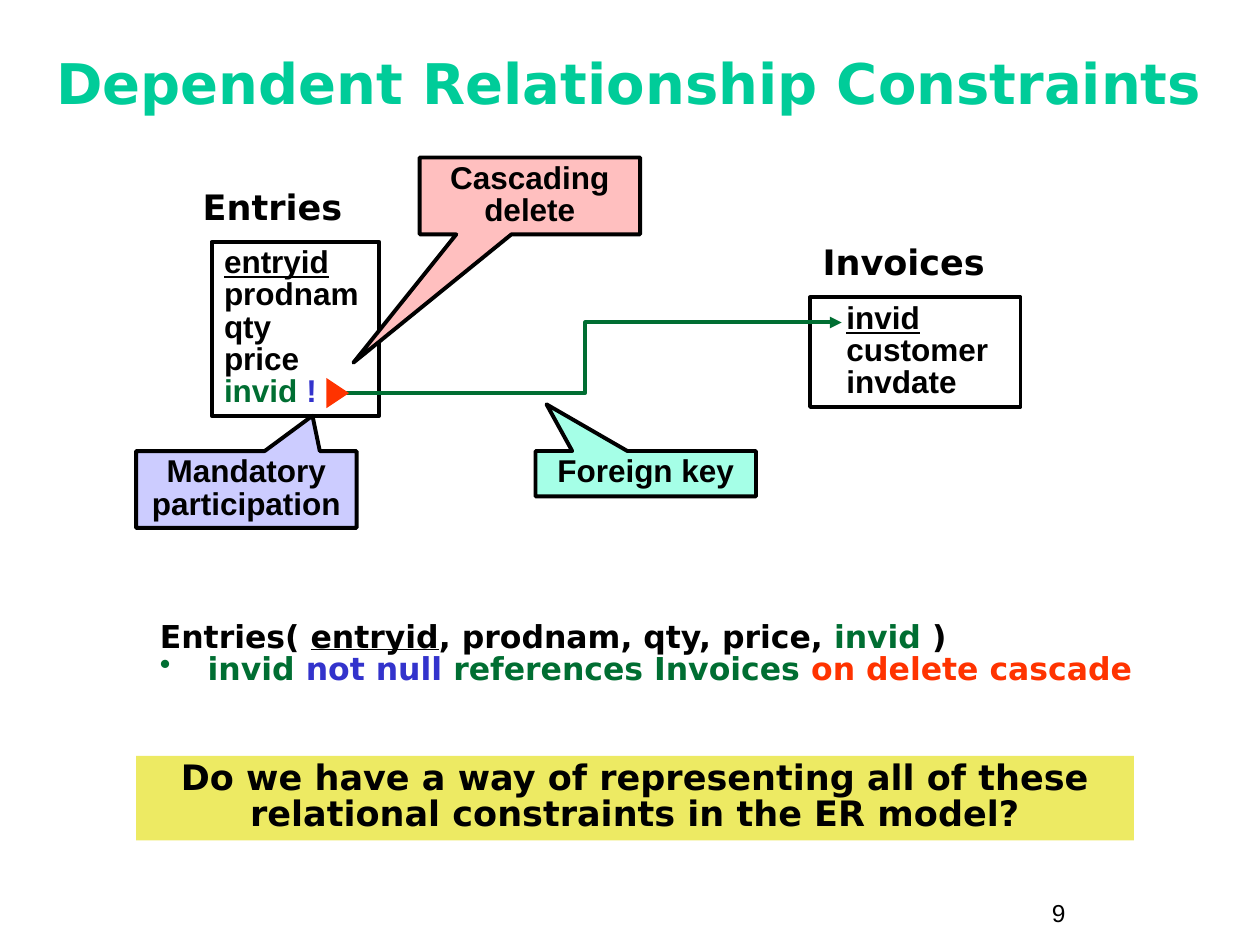
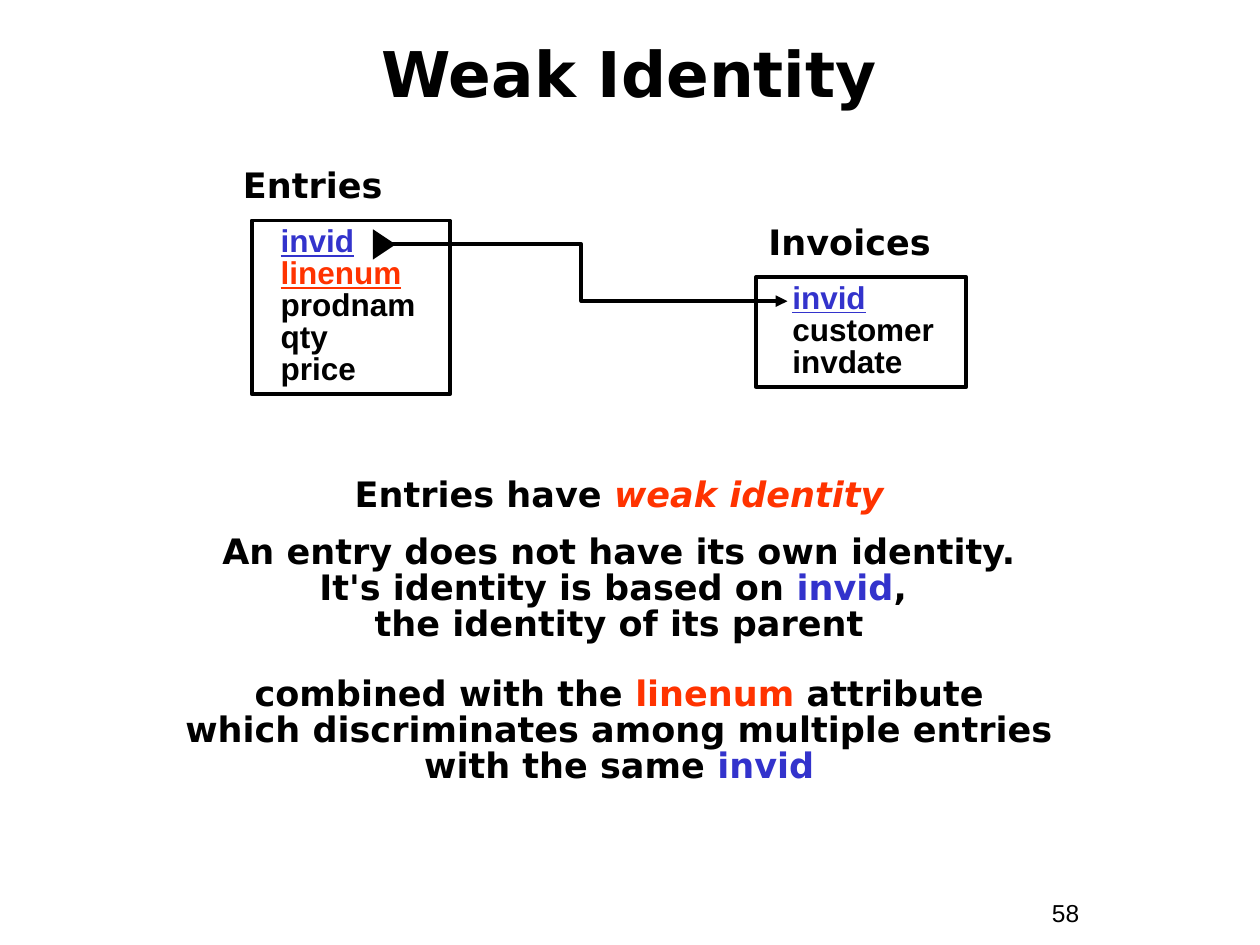
"""Build two slides on dependent relationships and weak identity."""
from dataclasses import dataclass

from lxml.etree import SubElement
from pptx import Presentation
from pptx.dml.color import RGBColor
from pptx.enum.shapes import MSO_CONNECTOR, MSO_SHAPE
from pptx.enum.text import MSO_ANCHOR, PP_ALIGN
from pptx.oxml.ns import qn
from pptx.util import Emu, Pt


@dataclass(frozen=True)
class Theme:
    """Colours, fonts and type sizes of the deck."""
    black: str = "000000"
    mint: str = "00CC99"
    green: str = "006E32"
    blue: str = "3333CC"
    red: str = "FF3300"
    lilac: str = "CCCCFF"
    pink: str = "FFBFBF"
    aqua: str = "A5FFE7"
    yellow: str = "EDEA63"
    sans: str = "DejaVu Sans"
    plain: str = "Arial"
    note: int = 14
    body: int = 18
    head: int = 20
    stroke: float = 2.25
    tight: float = 0.85


T = Theme()
PX = 9144
GREEN, BLUE, RED = ({"color": c} for c in (T.green, T.blue, T.red))
KEY = {"underline": True}
TITLE = {"name": T.sans, "bold": True}
HEAD = TITLE | {"size": T.head}
CODE = TITLE | {"size": T.body}
FIELD = CODE | {"name": T.plain}
NOTE = {"name": T.plain, "size": T.note}


def px(*nums):
    """Turn px into EMU."""
    return [Emu(n * PX) for n in nums]


def rgb(code):
    """Turn a hex code into a colour."""
    return RGBColor.from_string(code)


class Deck:
    """Hold the style and the current slide."""

    def __init__(self, wide, high):
        """Start an empty deck."""
        self.prs = Presentation()
        self.prs.slide_width, self.prs.slide_height = px(wide, high)

    def page(self, title, top, size, color, num):
        """Start a slide with its title and page number."""
        self.slide = self.prs.slides.add_slide(self.prs.slide_layouts[6])
        self.text((825, 708, 92, 34), [num], NOTE)
        look = TITLE | {"size": size, "color": color}
        frame = self.text((33, top, 933, 92), [title], look, center=True)
        frame.vertical_anchor = MSO_ANCHOR.MIDDLE

    def style(self, font, look):
        """Set font attributes from a dict."""
        for key, val in look.items():
            if key == "color":
                font.color.rgb = rgb(val)
            else:
                setattr(font, key, Pt(val) if key == "size" else val)

    def letter(self, frame, rows, look, center=False, space=None, indent=0, gaps=()):
        """Fill a frame with rows, each a string or a list of runs."""
        frame.word_wrap = True
        frame.vertical_anchor = MSO_ANCHOR.TOP
        for i, row in enumerate(rows):
            para = frame.add_paragraph() if i else frame.paragraphs[0]
            para.alignment = PP_ALIGN.CENTER if center else PP_ALIGN.LEFT
            para.line_spacing = space
            if i and gaps:
                para.space_before = Pt(gaps[i - 1])
            if indent:
                para._p.get_or_add_pPr().set("marL", str(indent * PX))
            for part in [row] if isinstance(row, str) else row:
                words, extra = (part, {}) if isinstance(part, str) else part
                for j, line in enumerate(words.split("\n")):
                    if j:
                        para.add_line_break()
                    if line:
                        run = para.add_run()
                        run.text = line
                        self.style(run.font, {"color": T.black} | look | extra)
        return frame

    def text(self, box, rows, look, **opts):
        """Add a text box."""
        shape = self.slide.shapes.add_textbox(*px(*box))
        return self.letter(shape.text_frame, rows, look, **opts)

    def shape(self, kind, box, fill=None, line=None):
        """Add a preset shape without shadow."""
        shape = self.slide.shapes.add_shape(kind, *px(*box))
        shape.shadow.inherit = False
        for part, color in ((shape.fill, fill), (shape.line.fill, line)):
            if color:
                part.solid()
                part.fore_color.rgb = rgb(color)
            else:
                part.background()
        if line:
            shape.line.width = Pt(T.stroke)
        return shape

    def entity(self, name, box, rows, lead=0, indent=0):
        """Add a named box of fields."""
        left, top = box[:2]
        self.text((left - lead, top - 50, 215, 44), [name], HEAD)
        shape = self.shape(MSO_SHAPE.RECTANGLE, box, line=T.black)
        self.letter(shape.text_frame, rows, FIELD, space=T.tight, indent=indent)

    def link(self, start, end, color, mark):
        """Add a bent arrow with a triangle at its start."""
        line = self.slide.shapes.add_connector(MSO_CONNECTOR.ELBOW, *px(*start, *end))
        line.line.color.rgb = rgb(color)
        line.line.width = Pt(T.stroke)
        props = line.element.spPr
        SubElement(props.find(qn("a:ln")), qn("a:tailEnd"), type="triangle")
        SubElement(props, qn("a:effectLst"))
        x, y = start
        tip = self.shape(MSO_SHAPE.ISOSCELES_TRIANGLE, (x - 5, y - 9, 24, 18), mark)
        tip.rotation = 90

    def callout(self, box, words, fill, tip):
        """Add a callout whose tip is given in shares of its size."""
        shape = self.shape(MSO_SHAPE.RECTANGULAR_CALLOUT, box, fill, T.black)
        for i, val in enumerate(tip):
            shape.adjustments[i] = val
        self.letter(shape.text_frame, [words], FIELD, center=True, space=T.tight)

    def band(self, box, words):
        """Add a filled band with a centred question."""
        shape = self.shape(MSO_SHAPE.RECTANGLE, box, T.yellow)
        self.letter(shape.text_frame, [words], HEAD, center=True, space=T.tight)

    def bullet(self, para, color):
        """Give a paragraph a hanging coloured bullet."""
        props = para._p.get_or_add_pPr()
        props.set("marL", str(38 * PX))
        props.set("indent", str(-38 * PX))
        SubElement(SubElement(props, qn("a:buClr")), qn("a:srgbClr"), val=color)
        SubElement(props, qn("a:buChar"), char="•")


def rules(deck):
    """Draw the slide on dependent relationships."""
    deck.page("Dependent Relationship Constraints", 19, 32, T.mint, "9")
    deck.entity("Entries", (168, 192, 133, 138), [
        [("entryid", KEY)], "prodnam", "qty", "price",
        [("invid ", GREEN), ("!", BLUE)]], lead=17)
    deck.entity("Invoices", (643, 236, 167, 87),
                [[("invid", KEY)], "customer", "invdate"], indent=19)
    deck.link((261, 312), (668, 256), T.green, T.red)
    for box, words, fill, tip in (
            ((108, 358, 175, 61), "Mandatory participation", T.lilac, (0.3, -0.96)),
            ((333, 125, 175, 61), "Cascading delete", T.pink, (-0.8, 2.17)),
            ((425, 358, 175, 36), "Foreign key", T.aqua, (-0.45, -1.53))):
        deck.callout(box, words, fill, tip)
    frame = deck.text((117, 489, 792, 61), [
        ["Entries( ", ("entryid", KEY), ", prodnam, qty, price, ", ("invid", GREEN), " )"],
        [("invid ", GREEN), ("not null ", BLUE), ("references Invoices ", GREEN),
         ("on delete cascade", RED)]], CODE, space=T.tight)
    deck.bullet(frame.paragraphs[1], T.green)
    deck.band((108, 600, 792, 67), "Do we have a way of representing all of these "
              "relational constraints in the ER model?")


def weak(deck):
    """Draw the slide on weak identity."""
    deck.page("Weak Identity", 11, 36, T.black, "58")
    deck.entity("Entries", (200, 175, 157, 138), [
        [("invid", KEY | BLUE)], [("linenum", KEY | RED)], "prodnam", "qty", "price"],
        lead=17, indent=13)
    deck.entity("Invoices", (600, 220, 167, 87),
                [[("invid", KEY | BLUE)], "customer", "invdate"], indent=19)
    deck.link((298, 194), (625, 239), T.black, T.black)
    deck.text((75, 375, 833, 254), [
        ["Entries have ", ("weak identity", RED | {"italic": True})],
        ["An entry does not have its own identity.\nIt's identity is based on ",
         ("invid", BLUE), ", \nthe identity of its parent"],
        ["combined with the ", ("linenum", RED),
         " attribute\nwhich discriminates among multiple entries\nwith the same ",
         ("invid", BLUE)]], HEAD, center=True, space=T.tight, gaps=(12.5, 20))


def main():
    """Build and save the deck."""
    deck = Deck(1000, 750)
    rules(deck)
    weak(deck)
    deck.prs.save("out.pptx")


if __name__ == "__main__":
    main()
